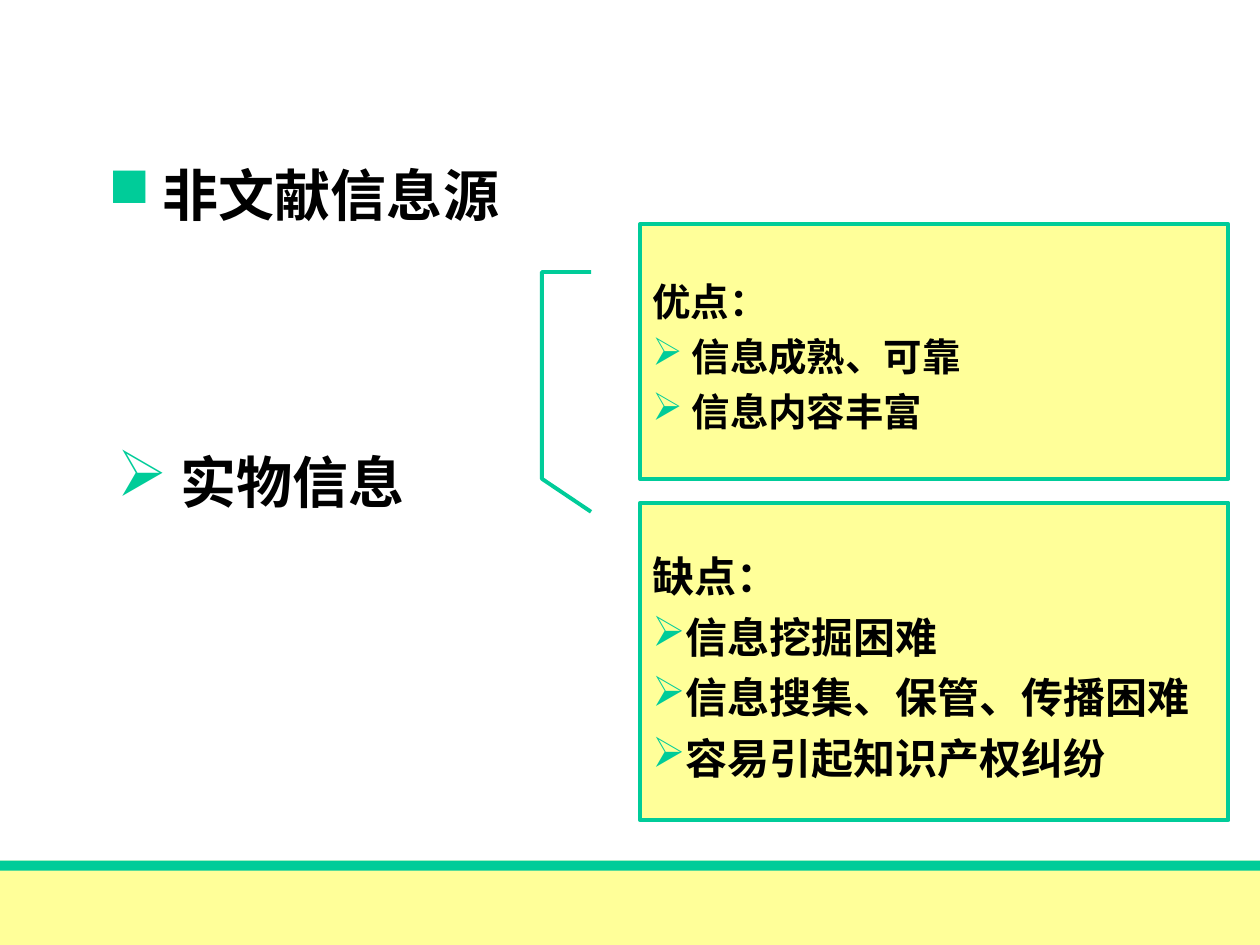
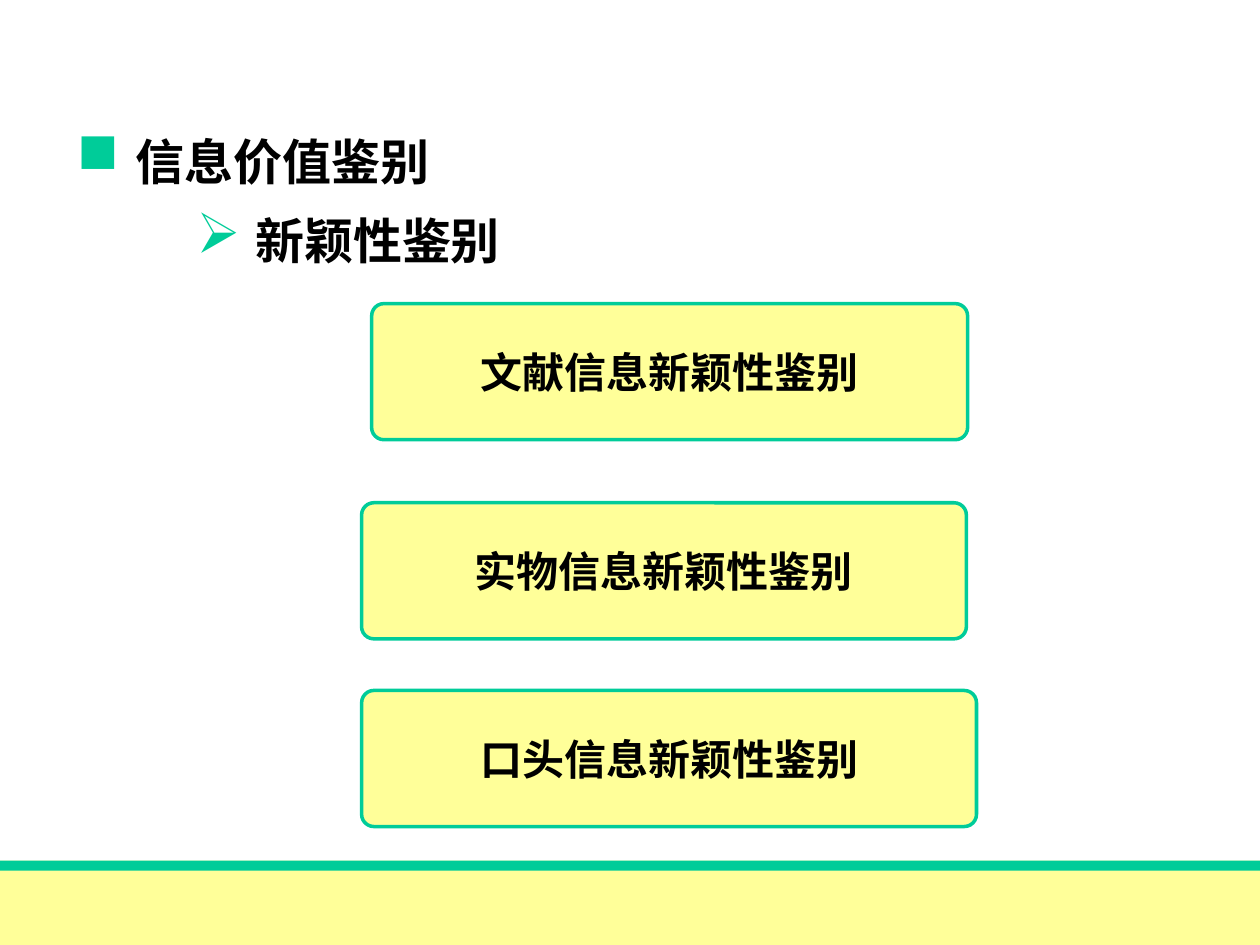
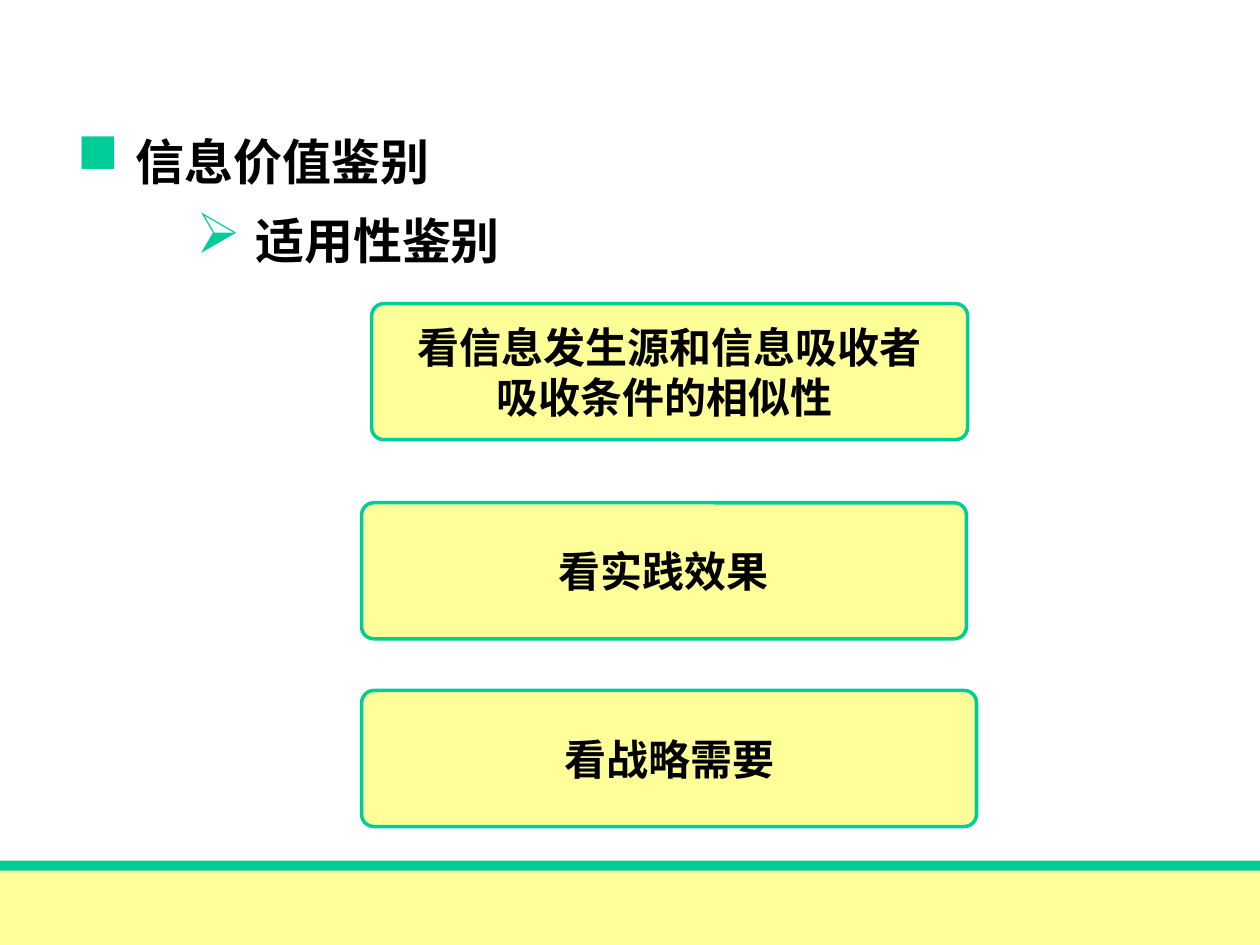
"""Build three slides on information sources and judging the value of information."""
from lxml import etree
from pptx import Presentation
from pptx.dml.color import RGBColor
from pptx.enum.shapes import MSO_SHAPE
from pptx.enum.text import MSO_ANCHOR, MSO_AUTO_SIZE, PP_ALIGN
from pptx.oxml.ns import qn
from pptx.util import Inches, Pt

RECT = MSO_SHAPE.RECTANGLE
ROUNDED = MSO_SHAPE.ROUNDED_RECTANGLE
CALLOUT = MSO_SHAPE.LINE_CALLOUT_3
LEFT, CENTER = PP_ALIGN.LEFT, PP_ALIGN.CENTER
TOP, MIDDLE = MSO_ANCHOR.TOP, MSO_ANCHOR.MIDDLE
NO_AUTOFIT = MSO_AUTO_SIZE.NONE

GREEN, YELLOW, BLACK = "00CC99", "FFFF99", "000000"
FONT = "Times New Roman"
BULLETS = "■➢"


def write_text(shape, lines, size, align=LEFT, anchor=TOP, spacing=1.0, bullet_pct=100, indent=0):
    """Fill a shape with lines; a leading bullet sign becomes a real bullet."""
    tf = shape.text_frame
    tf.word_wrap = True
    tf.auto_size = NO_AUTOFIT
    tf.vertical_anchor = anchor
    for i, line in enumerate(lines):
        p = tf.paragraphs[0] if i == 0 else tf.add_paragraph()
        p.alignment = align
        p.line_spacing = spacing
        if line[0] in BULLETS:
            pPr = p._p.get_or_add_pPr()
            pPr.set("marL", str(Inches(indent)))
            pPr.set("indent", str(-Inches(indent)))
            color = etree.SubElement(pPr, qn("a:buClr"))
            etree.SubElement(color, qn("a:srgbClr"), val=GREEN)
            etree.SubElement(pPr, qn("a:buSzPct"), val=str(bullet_pct * 1000))
            etree.SubElement(pPr, qn("a:buChar"), char=line[0])
        r = p.add_run()
        r.text = line.lstrip(BULLETS)
        r.font.name = FONT
        r.font.size = Pt(size)
        r.font.bold = True
        r.font.color.rgb = RGBColor.from_string(BLACK)


def add_box(s, kind, box, fill=YELLOW, line_width=0):
    """Add a filled shape, with a green outline when a line width is given."""
    sp = s.shapes.add_shape(kind, *map(Inches, box))
    sp.shadow.inherit = False
    sp.fill.solid()
    sp.fill.fore_color.rgb = RGBColor.from_string(fill)
    if line_width:
        sp.line.color.rgb = RGBColor.from_string(GREEN)
        sp.line.width = Pt(line_width)
    else:
        sp.line.fill.background()
    return sp


prs = Presentation()
prs.slide_width, prs.slide_height = Inches(10), Inches(7.5)

value_title = ("■ 信息价值鉴别", (0.51, 0.99, 7.33, 0.94), 28, 115, 0.38)
value_sub = ((1.46, 1.62, 7.33, 0.94), 28)
slides = [
    (("■ 非文献信息源", (0.76, 1.22, 3.31, 0.64), 32, 100, 0),
     ("➢ 实物信息", (0.83, 3.5, 3, 0.92), 32)),
    (value_title, ("➢ 新颖性鉴别", *value_sub)),
    (value_title, ("➢ 适用性鉴别", *value_sub)),
]
for (title, title_box, title_size, pct, indent), (sub, sub_box, sub_size) in slides:
    s = prs.slides.add_slide(prs.slide_layouts[5])
    add_box(s, RECT, (0, 6.83, 10, 0.67))
    add_box(s, RECT, (0, 6.83, 10, 0.08), GREEN)
    heading = s.shapes.title
    heading.left, heading.top, heading.width, heading.height = map(Inches, title_box)
    write_text(heading, [title], title_size, bullet_pct=pct, indent=indent)
    tb = s.shapes.add_textbox(*map(Inches, sub_box))
    write_text(tb, [sub], sub_size, bullet_pct=115, indent=0.38)

pros_and_cons = [
    (CALLOUT, 1.78, 2.02, 22, ["优点：", "➢ 信息成熟、可靠", "➢ 信息内容丰富"]),
    (RECT, 3.99, 2.52, 24,
     ["缺点：", "➢信息挖掘困难", "➢信息搜集、保管、传播困难", "➢容易引起知识产权纠纷"]),
]
for kind, top, height, size, lines in pros_and_cons:
    sp = add_box(prs.slides[0], kind, (5.08, top, 4.67, height), line_width=2.25)
    write_text(sp, lines, size, anchor=MIDDLE, spacing=1.2)

card_spots = [(2.95, 2.41, 4.73), (2.87, 3.99, 4.8), (2.87, 5.48, 4.88)]
card_texts = [
    [["文献信息新颖性鉴别"], ["实物信息新颖性鉴别"], ["口头信息新颖性鉴别"]],
    [["看信息发生源和信息吸收者", "吸收条件的相似性 "], ["看实践效果"], ["看战略需要"]],
]
for s, texts in zip(list(prs.slides)[1:], card_texts):
    for (left, top, width), lines in zip(card_spots, texts):
        card = add_box(s, ROUNDED, (left, top, width, 1.08), line_width=2)
        card.adjustments[0] = 0.09
        write_text(card, lines, 24, align=CENTER, anchor=MIDDLE)

prs.save("out.pptx")
